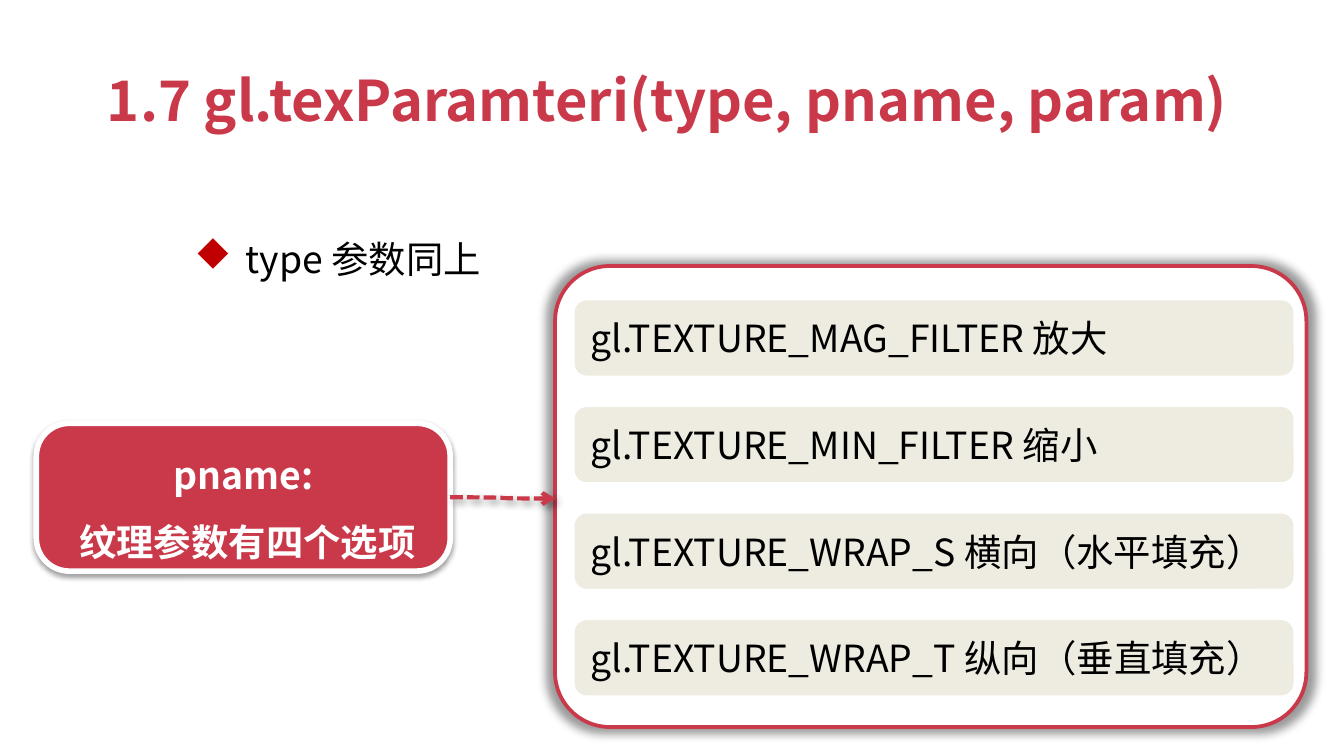
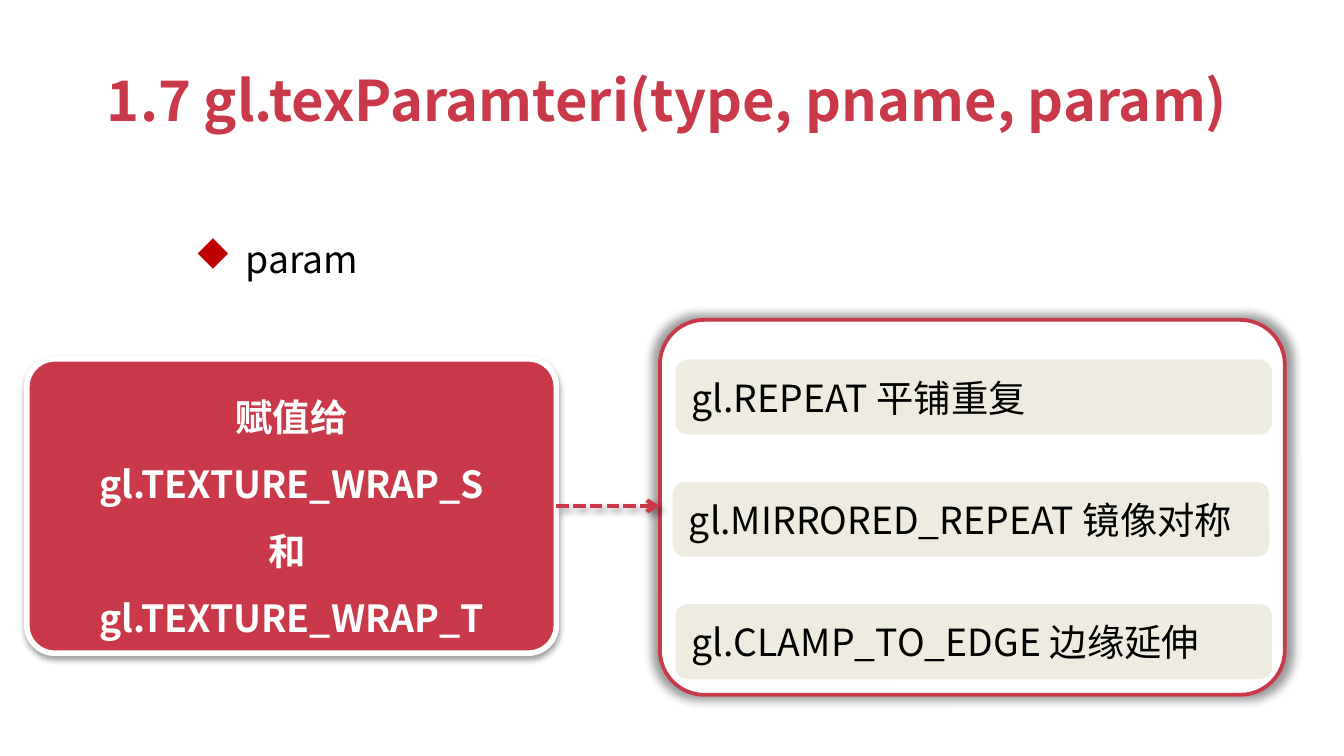
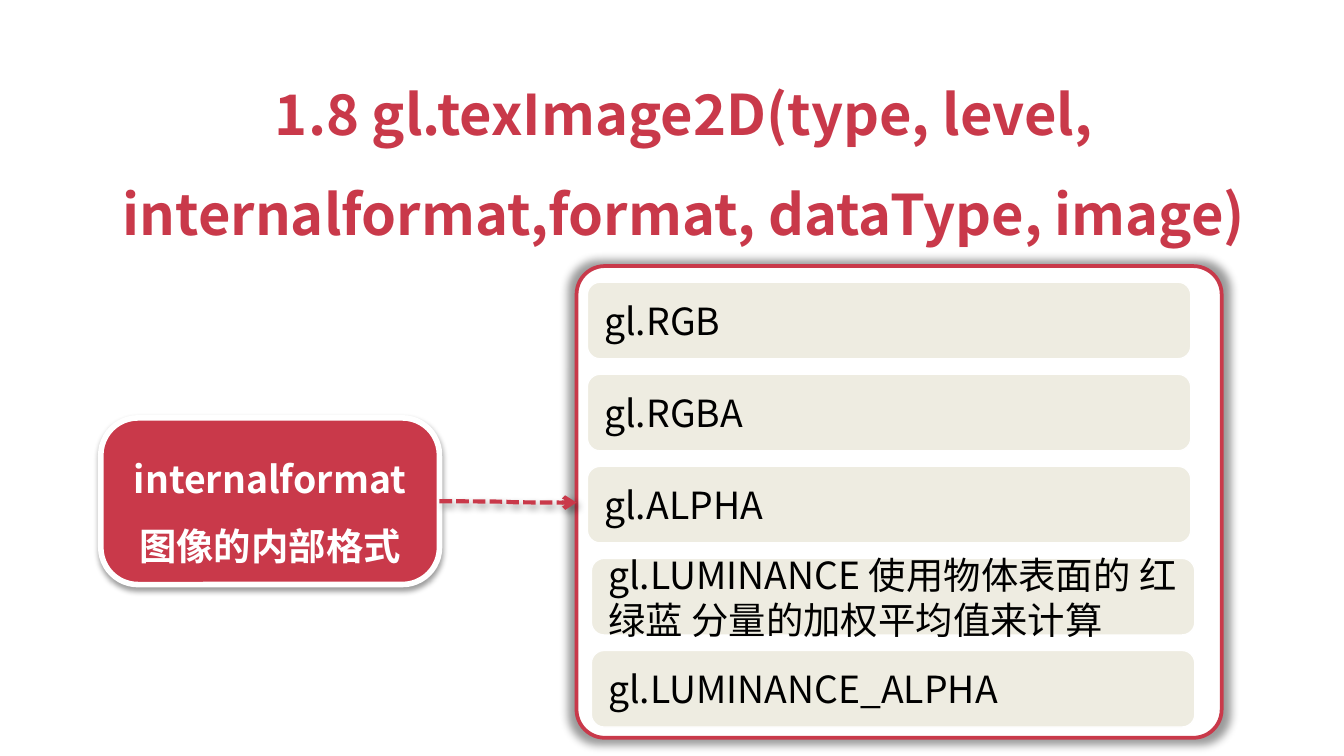
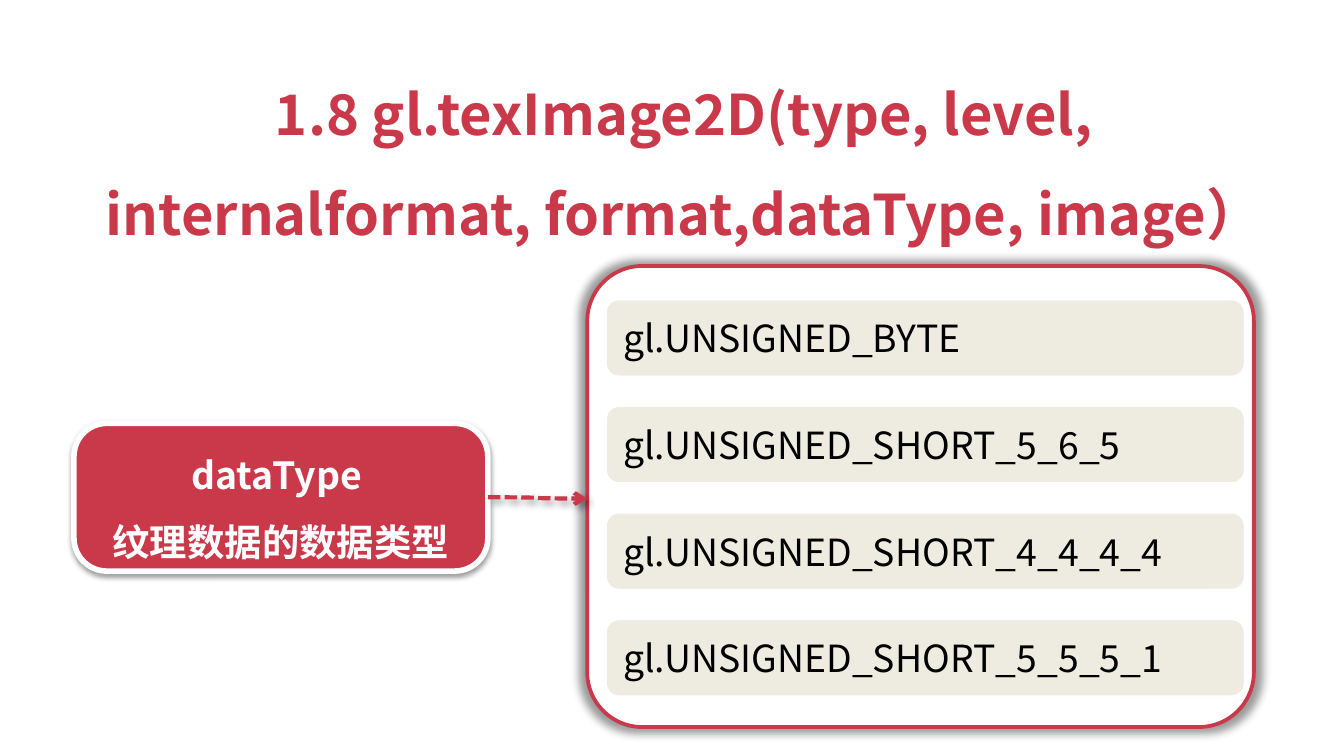
import lxml.etree
import pptx
import pptx.dml.color
import pptx.enum.dml
import pptx.enum.shapes
import pptx.enum.text
import pptx.oxml.ns
import pptx.util

Inches = pptx.util.Inches
Pt = pptx.util.Pt
qn = pptx.oxml.ns.qn
Align = pptx.enum.text.PP_ALIGN
Anchor = pptx.enum.text.MSO_ANCHOR
AutoSize = pptx.enum.text.MSO_AUTO_SIZE

PARAMETER_TITLE = "1.7 gl.texParamteri(type, pname, param)"

SLIDES = [
    {
        "title": PARAMETER_TITLE,
        "bullet": "type 参数同上",
        "panel": (4.13, 1.98, 5.59, 3.43),
        "panel_corner": 0.119,
        "badge": (0.27, 3.15, 3.08, 1.1),
        "badge_corner": 0.223,
        "badge_lines": ["pname:", " 纹理参数有四个选项"],
        "arrow_drop": 0.01,
        "options_box": (4.27, 2.23, 5.36, 4.61),
        "options": [
            ("gl.TEXTURE_MAG_FILTER 放⼤", 0),
            ("gl.TEXTURE_MIN_FILTER 缩⼩", 0),
            ("gl.TEXTURE_WRAP_S 横向（⽔平填充）", 0),
            ("gl.TEXTURE_WRAP_T 纵向（垂直填充）", 0),
        ],
    },
    {
        "title": PARAMETER_TITLE,
        "bullet": "param",
        "panel": (4.91, 2.38, 4.65, 2.79),
        "panel_corner": 0.119,
        "badge": (0.2, 2.67, 3.94, 2.19),
        "badge_corner": 0.095,
        "badge_lines": ["赋值给 gl.TEXTURE_WRAP_S", "和 ", "gl.TEXTURE_WRAP_T"],
        "arrow_drop": 0,
        "options_box": (5.02, 2.67, 4.45, 4.49),
        "options": [
            ("gl.REPEAT 平铺重复", 0),
            ("gl.MIRRORED_REPEAT 镜像对称", -0.02),
            ("gl.CLAMP_TO_EDGE 边缘延伸", 0),
        ],
    },
    {
        "title": "1.8 gl.texImage2D(type, level, internalformat,format, dataType, image)",
        "panel": (4.29, 1.98, 4.8, 3.51),
        "panel_corner": 0.06,
        "badge": (0.75, 3.11, 2.52, 1.24),
        "badge_corner": 0.223,
        "badge_lines": ["internalformat 图像的内部格式"],
        "arrow_drop": 0.01,
        "options_box": (4.37, 2.1, 4.49, 4.84),
        "options": [
            ("gl.RGB", 0),
            ("gl.RGBA", 0),
            ("gl.ALPHA", 0),
            ("gl.LUMINANCE 使用物体表面的 红绿蓝 分量的加权平均值来计算", 0.03),
            ("gl.LUMINANCE_ALPHA", 0.03),
        ],
    },
    {
        "title": "1.8 gl.texImage2D(type, level, internalformat, format,dataType, image）",
        "panel": (4.37, 1.98, 4.96, 3.43),
        "panel_corner": 0.119,
        "badge": (0.55, 3.15, 3.08, 1.1),
        "badge_corner": 0.223,
        "badge_lines": ["dataType ", "纹理数据的数据类型"],
        "arrow_drop": 0.01,
        "options_box": (4.51, 2.23, 4.75, 4.61),
        "options": [
            ("gl.UNSIGNED_BYTE", 0),
            ("gl.UNSIGNED_SHORT_5_6_5", 0),
            ("gl.UNSIGNED_SHORT_4_4_4_4", 0),
            ("gl.UNSIGNED_SHORT_5_5_5_1", 0),
        ],
    },
]

THEME = {
    "font": "Noto Sans CJK SC",
    "bullet_font": "Wingdings",
    "red": "C9394A",
    "bullet": "C00000",
    "beige": "EEECE1",
    "white": "FFFFFF",
    "black": "000000",
    "title_size": 30,
    "body_size": 20,
}
SLIDE_WIDTH = Inches(10)
SLIDE_HEIGHT = SLIDE_WIDTH * 9 // 16
OPTION_HEIGHT = 0.57

TEXT_STYLES = {
    "title": {"size": Pt(THEME["title_size"]), "bold": True, "color": THEME["red"]},
    "body": {"size": Pt(THEME["body_size"]), "bold": False, "color": THEME["black"]},
    "badge": {"size": Pt(THEME["body_size"]), "bold": True, "color": THEME["white"]},
}
SHADOWS = {
    "panel": {"alpha": 40, "blur": 5, "distance": 0, "angle": 0, "scale": 102},
    "badge": {"alpha": 38, "blur": 3.1, "distance": 1.6, "angle": 90, "scale": 100},
    "arrow": {"alpha": 40, "blur": 4, "distance": 3, "angle": 45, "scale": 100},
}
TITLE_LAYOUTS = {
    "single": {
        "box": (0.57, 0.44, 8.79, 0.61),
        "frame": {"word_wrap": False, "auto_size": AutoSize.SHAPE_TO_FIT_TEXT},
        "paragraph": {"alignment": Align.CENTER},
    },
    "double": {
        "box": (0.59, 0.29, 9, 1.53),
        "frame": {"word_wrap": True, "auto_size": AutoSize.SHAPE_TO_FIT_TEXT},
        "paragraph": {"alignment": Align.CENTER, "line_spacing": 1.5},
    },
}
MIDDLE = {"word_wrap": True, "vertical_anchor": Anchor.MIDDLE}


def rgb(color):
    return pptx.dml.color.RGBColor.from_string(color)


def apply(target, values):
    for name, value in values.items():
        setattr(target, name, value)


def add_node(parent, tag, **attributes):
    return lxml.etree.SubElement(parent, qn(tag), **attributes)


def write(shape, lines, style, frame_format, paragraph_format):
    frame = shape.text_frame
    apply(frame, frame_format)
    font_format = dict(TEXT_STYLES[style])
    color = font_format.pop("color")
    for index, line in enumerate(lines):
        paragraph = frame.add_paragraph() if index else frame.paragraphs[0]
        apply(paragraph, paragraph_format)
        run = paragraph.add_run()
        run.text = line
        apply(run.font, {**font_format, "name": THEME["font"]})
        run.font.color.rgb = rgb(color)
        add_node(run.font._element, "a:ea", typeface=THEME["font"])


def add_text(slide, box, lines, style, frame_format, paragraph_format):
    shape = slide.shapes.add_textbox(*map(Inches, box))
    write(shape, lines, style, frame_format, paragraph_format)
    return shape


def add_round_box(slide, box, fill, line, width, corner=None):
    shape = slide.shapes.add_shape(
        pptx.enum.shapes.MSO_SHAPE.ROUNDED_RECTANGLE, *map(Inches, box))
    shape.shadow.inherit = False
    shape.fill.solid()
    shape.fill.fore_color.rgb = rgb(fill)
    shape.line.color.rgb = rgb(line)
    shape.line.width = Pt(width)
    if corner is not None:
        shape.adjustments[0] = corner
    return shape


def add_shadow(shape, kind):
    values = SHADOWS[kind]
    scale = str(values["scale"] * 1000)
    properties = shape._element.spPr
    effects = properties.find(qn("a:effectLst"))
    if effects is None:
        effects = add_node(properties, "a:effectLst")
    shadow = add_node(
        effects, "a:outerShdw", blurRad=str(Pt(values["blur"])),
        dist=str(Pt(values["distance"])), dir=str(values["angle"] * 60000),
        sx=scale, sy=scale, algn="ctr", rotWithShape="0")
    color = add_node(shadow, "a:srgbClr", val=THEME["black"])
    add_node(color, "a:alpha", val=str(values["alpha"] * 1000))


def add_bullet(slide, text):
    shape = add_text(slide, (0.91, 1.62, 9, 0.61), [text], "body", MIDDLE,
                     {"alignment": Align.JUSTIFY})
    properties = shape.text_frame.paragraphs[0]._p.get_or_add_pPr()
    properties.set("marL", str(Inches(0.82)))
    properties.set("indent", str(Inches(-0.38)))
    add_node(add_node(properties, "a:buClr"), "a:srgbClr", val=THEME["bullet"])
    add_node(properties, "a:buFont", typeface=THEME["bullet_font"],
             pitchFamily="2", charset="2")
    add_node(properties, "a:buChar", char="u")


def add_arrow(slide, badge, panel, drop):
    left, top, width, height = badge
    middle = top + height / 2
    ends = (left + width, middle, panel[0], middle + drop)
    arrow = slide.shapes.add_connector(
        pptx.enum.shapes.MSO_CONNECTOR.CURVE, *map(Inches, ends))
    arrow.line.color.rgb = rgb(THEME["red"])
    apply(arrow.line, {"width": Pt(2.25),
                       "dash_style": pptx.enum.dml.MSO_LINE.SQUARE_DOT})
    add_node(arrow.line._get_or_add_ln(), "a:tailEnd", type="arrow")
    add_shadow(arrow, "arrow")


def add_options(slide, box, options):
    left, first_top, width, last_top = box
    pitch = (last_top - first_top) / (len(options) - 1)
    for index, (text, nudge) in enumerate(options):
        option = add_round_box(
            slide, (left + nudge, first_top + index * pitch, width, OPTION_HEIGHT),
            THEME["beige"], THEME["white"], 0.75)
        write(option, [text], "body", MIDDLE, {"alignment": Align.LEFT})


def build_slide(presentation, content):
    slide = presentation.slides.add_slide(presentation.slide_layouts[6])
    title = TITLE_LAYOUTS["single" if "bullet" in content else "double"]
    add_text(slide, title["box"], [content["title"]], "title",
             title["frame"], title["paragraph"])
    if "bullet" in content:
        add_bullet(slide, content["bullet"])
    panel = add_round_box(slide, content["panel"], THEME["white"], THEME["red"],
                          2, content["panel_corner"])
    add_shadow(panel, "panel")
    badge = add_round_box(slide, content["badge"], THEME["red"], THEME["white"],
                          3, content["badge_corner"])
    add_shadow(badge, "badge")
    write(badge, content["badge_lines"], "badge", MIDDLE,
          {"alignment": Align.CENTER, "line_spacing": 1.5})
    add_options(slide, content["options_box"], content["options"])
    add_arrow(slide, content["badge"], content["panel"], content["arrow_drop"])


def main():
    presentation = pptx.Presentation()
    apply(presentation, {"slide_width": SLIDE_WIDTH, "slide_height": SLIDE_HEIGHT})
    for content in SLIDES:
        build_slide(presentation, content)
    presentation.save("out.pptx")


if __name__ == "__main__":
    main()
